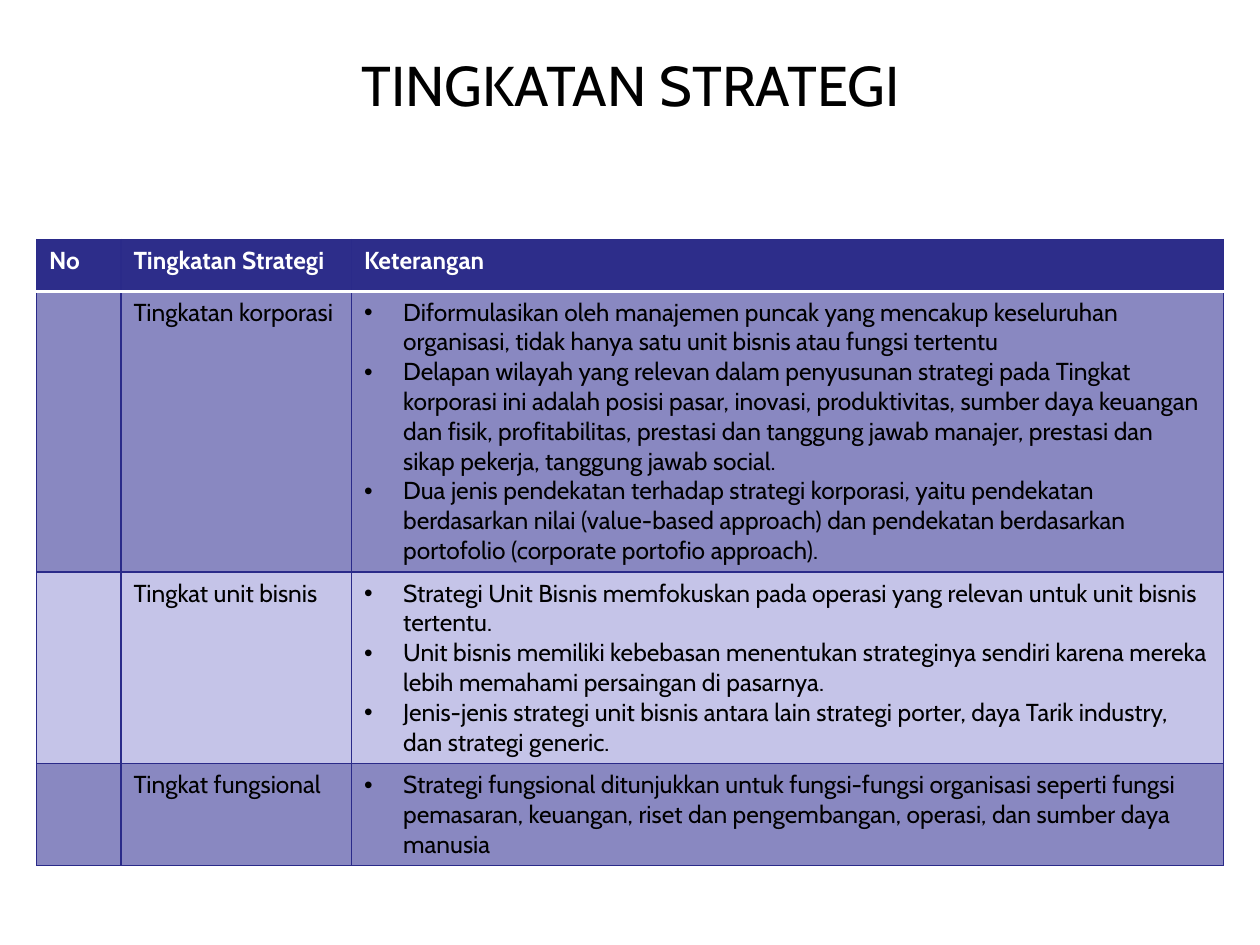
"""Build a slide with a table of the levels of strategy."""
from lxml import etree
from pptx import Presentation
from pptx.dml.color import RGBColor
from pptx.enum import text
from pptx.oxml import ns
from pptx.util import Inches, Pt

FONT = "Cabin"
BLACK = RGBColor(0x00, 0x00, 0x00)
WHITE = RGBColor(0xFF, 0xFF, 0xFF)
NAVY = RGBColor(0x2D, 0x2D, 0x8A)
BORDER = RGBColor(0x2A, 0x2A, 0x89)
BANDS = (RGBColor(0x89, 0x88, 0xC1), RGBColor(0xC5, 0xC4, 0xE8))

COLUMN_WIDTHS = (0.67, 1.83, 6.92)
ROW_HEIGHTS = (0.41, 2.23, 1.52, 0.81)
HEADINGS = ("No", "Tingkatan Strategi", "Keterangan")
LEVELS = (
    ("Tingkatan korporasi", (
        "Diformulasikan oleh manajemen puncak yang mencakup keseluruhan organisasi, "
        "tidak hanya satu unit bisnis atau fungsi tertentu",
        "Delapan wilayah yang relevan dalam penyusunan strategi pada Tingkat korporasi "
        "ini adalah posisi pasar, inovasi, produktivitas, sumber daya keuangan dan fisik, "
        "profitabilitas, prestasi dan tanggung jawab manajer, prestasi dan sikap pekerja, "
        "tanggung jawab social.",
        "Dua jenis pendekatan terhadap strategi korporasi, yaitu pendekatan berdasarkan "
        "nilai (value-based approach) dan pendekatan berdasarkan portofolio "
        "(corporate portofio approach).")),
    ("Tingkat unit bisnis", (
        "Strategi Unit Bisnis memfokuskan pada operasi yang relevan untuk unit bisnis "
        "tertentu.",
        "Unit bisnis memiliki kebebasan menentukan strateginya sendiri karena mereka "
        "lebih memahami persaingan di pasarnya.",
        "Jenis-jenis strategi unit bisnis antara lain strategi porter, daya Tarik "
        "industry, dan strategi generic.")),
    ("Tingkat fungsional", (
        "Strategi fungsional ditunjukkan untuk fungsi-fungsi organisasi seperti fungsi "
        "pemasaran, keuangan, riset dan pengembangan, operasi, dan sumber daya manusia",)),
)


def add_span(para, words, size, color, bold=False):
    """Add one formatted run to a paragraph."""
    span = para.add_run()
    span.text = words
    formats = {"name": FONT, "size": Pt(size), "bold": bold}
    for name, value in formats.items():
        setattr(span.font, name, value)
    span.font.color.rgb = color


def add_title(page, words):
    """Add the centred title."""
    box = page.shapes.add_textbox(Inches(0.98), Inches(0.31), Inches(8.05), Inches(0.72))
    frame = box.text_frame
    formats = {"word_wrap": True, "vertical_anchor": text.MSO_ANCHOR.MIDDLE}
    formats.update({f"margin_{side}": Inches(0.04)
                    for side in ("left", "right", "top", "bottom")})
    for name, value in formats.items():
        setattr(frame, name, value)
    para = frame.paragraphs[0]
    para.alignment = text.PP_ALIGN.CENTER
    add_span(para, words, 32, BLACK)


def add_bullet(para):
    """Give a paragraph a hanging bullet."""
    properties = para._p.get_or_add_pPr()
    indent = Inches(0.31)
    properties.set("marL", str(indent))
    properties.set("indent", str(-indent))
    etree.SubElement(properties, ns.qn("a:buFont")).set("typeface", "Arial")
    etree.SubElement(properties, ns.qn("a:buChar")).set("char", "•")


def set_borders(cell, row):
    """Draw the cell borders, with a white rule below the header."""
    properties = cell._tc.get_or_add_tcPr()
    white_side = {0: "B", 1: "T"}.get(row)
    for index, side in enumerate("LRTB"):
        color, width = (WHITE, 2) if side == white_side else (BORDER, 0.75)
        line = etree.Element(ns.qn(f"a:ln{side}"), w=str(Pt(width)))
        fill = etree.SubElement(line, ns.qn("a:solidFill"))
        etree.SubElement(fill, ns.qn("a:srgbClr")).set("val", str(color))
        properties.insert(index, line)


def fill_cell(cell, row, lines, bulleted):
    """Fill, border and write one table cell."""
    header = row == 0
    cell.fill.solid()
    cell.fill.fore_color.rgb = NAVY if header else BANDS[(row - 1) % 2]
    set_borders(cell, row)
    frame = cell.text_frame
    for index, words in enumerate(lines):
        para = frame.add_paragraph() if index else frame.paragraphs[0]
        if bulleted:
            add_bullet(para)
        add_span(para, words, 14, WHITE if header else BLACK, header)


def add_levels_table(page):
    """Add the table of strategy levels."""
    rows = [[(heading,) for heading in HEADINGS]]
    rows += [[(), (level,), notes] for level, notes in LEVELS]
    table = page.shapes.add_table(
        len(rows), len(HEADINGS), Inches(0.29), Inches(1.9),
        Inches(sum(COLUMN_WIDTHS)), Inches(sum(ROW_HEIGHTS))).table
    for column, width in zip(table.columns, COLUMN_WIDTHS):
        column.width = Inches(width)
    for row, height in zip(table.rows, ROW_HEIGHTS):
        row.height = Inches(height)
    for row, cells in enumerate(rows):
        for column, lines in enumerate(cells):
            fill_cell(table.cell(row, column), row, lines, row > 0 and column == 2)


def main():
    """Build and save the deck."""
    deck = Presentation()
    deck.slide_width, deck.slide_height = Inches(10), Inches(7.5)
    page = deck.slides.add_slide(deck.slide_layouts[6])
    add_title(page, "TINGKATAN STRATEGI")
    add_levels_table(page)
    deck.save("out.pptx")


if __name__ == "__main__":
    main()
